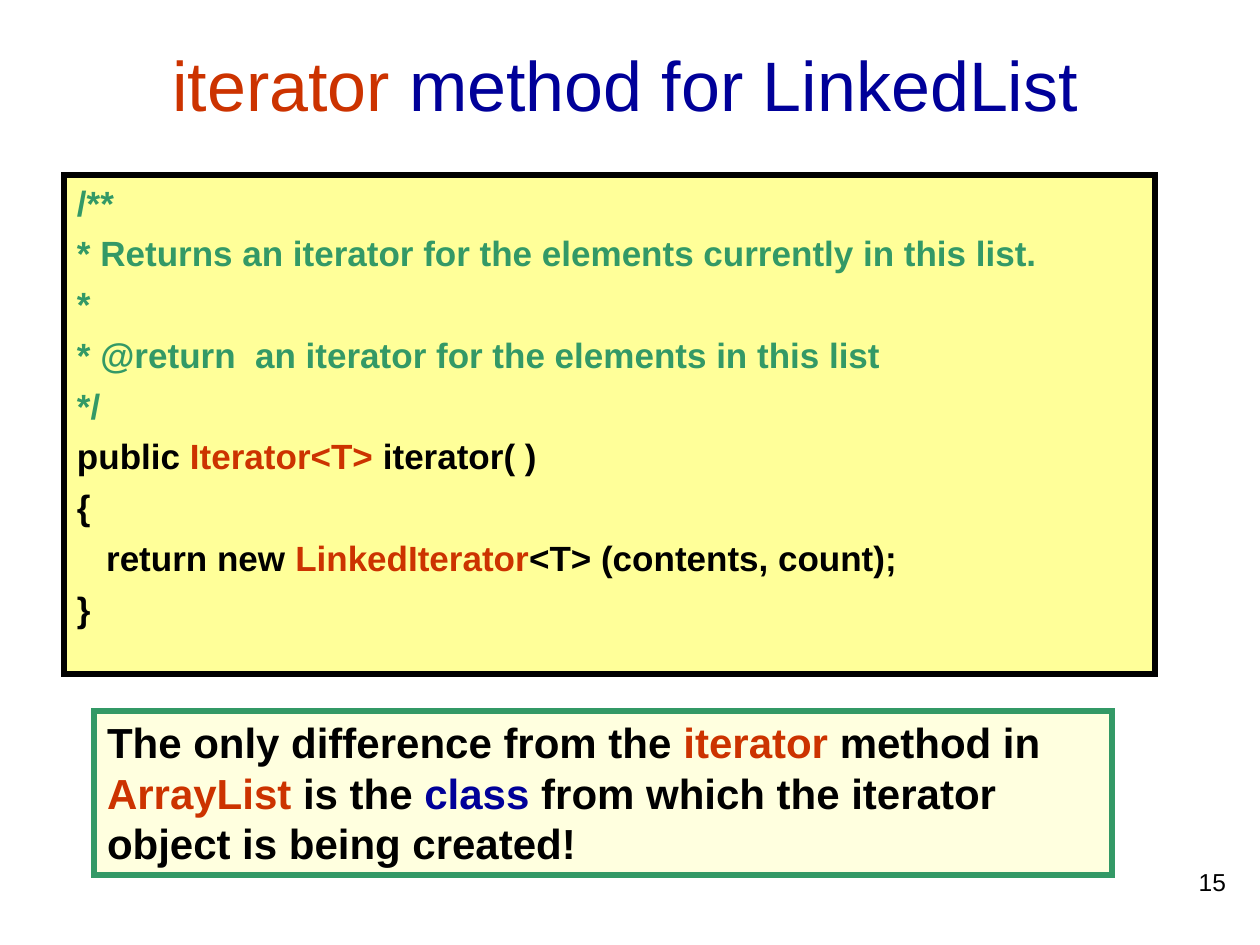
import lxml.etree
import pptx
import pptx.util
import pptx.dml.color
import pptx.enum.shapes
import pptx.enum.text
import pptx.oxml.ns

PX = 914400 // 126
RED, GREEN, NAVY, BLACK = "CC3300", "339966", "000099", "000000"
PP = pptx.enum.text.PP_ALIGN

COMMENT = [
    "/**",
    "* Returns an iterator for the elements currently in this list.",
    "*",
    "* @return  an iterator for the elements in this list",
    "*/",
]
METHOD = [
    [("public ", BLACK), ("Iterator<T>", RED), (" iterator( )", BLACK)],
    [("{", BLACK)],
    [("   return new ", BLACK), ("LinkedIterator", RED), ("<T> (contents, count);", BLACK)],
    [("}", BLACK)],
]
NOTE = [
    ("The only difference from the ", BLACK), ("iterator", RED),
    (" method in ", BLACK), ("ArrayList", RED), (" is the ", BLACK),
    ("class", NAVY), (" from which the iterator object is being created!", BLACK),
]


def px(n):
    """Turn pixels into EMU."""
    return pptx.util.Emu(n * PX)


def rgb(h):
    """Turn a hex string into a colour."""
    return pptx.dml.color.RGBColor.from_string(h)


def write(sp, lines, size, bold=False, align=PP.LEFT, before=0):
    """Fill a shape with lines, each a list of (text, colour) runs."""
    tf = sp.text_frame
    tf.word_wrap = True
    tf.auto_size = pptx.enum.text.MSO_AUTO_SIZE.NONE
    tf.vertical_anchor = pptx.enum.text.MSO_ANCHOR.TOP
    tf.margin_left = tf.margin_right = px(13)
    tf.margin_top = tf.margin_bottom = px(6)
    for i, runs in enumerate(lines):
        p = tf.add_paragraph() if i else tf.paragraphs[0]
        p.alignment = align
        p.space_before = pptx.util.Pt(before if i else 0)
        for text, color in runs:
            r = p.add_run()
            r.text = text
            r.font.name = "Arial"
            r.font.size = pptx.util.Pt(size)
            r.font.bold = bold
            r.font.color.rgb = rgb(color)


def panel(s, box, fill, line):
    """Add a filled rectangle with a square-cornered 3 pt border."""
    sp = s.shapes.add_shape(pptx.enum.shapes.MSO_SHAPE.RECTANGLE, *map(px, box))
    sp.shadow.inherit = False
    sp.fill.solid()
    sp.fill.fore_color.rgb = rgb(fill)
    sp.line.color.rgb = rgb(line)
    sp.line.width = pptx.util.Pt(3)
    ln = sp.element.spPr.find(pptx.oxml.ns.qn("a:ln"))
    lxml.etree.SubElement(ln, pptx.oxml.ns.qn("a:miter"), lim="800000")
    return sp


def title(s, box):
    """Place the slide title."""
    sp = s.shapes.title
    sp.left, sp.top, sp.width, sp.height = map(px, box)
    write(sp, [[("iterator", RED), (" method for LinkedList", NAVY)]], 40, align=PP.CENTER)


def code(s, box):
    """Place the code listing."""
    lines = [[(text, GREEN)] for text in COMMENT] + METHOD
    write(panel(s, box, "FFFF99", BLACK), lines, 20, bold=True, before=5)


def note(s, box):
    """Place the remark below the code."""
    write(panel(s, box, "FFFFDF", GREEN), [NOTE], 24, bold=True)


def page_number(s, box):
    """Place the page number."""
    write(s.shapes.add_textbox(*map(px, box)), [[("15", BLACK)]], 14, align=PP.RIGHT)


def main():
    """Build and save the slide."""
    prs = pptx.Presentation()
    prs.slide_width, prs.slide_height = pptx.util.Inches(10), pptx.util.Inches(7.5)
    s = prs.slides.add_slide(prs.slide_layouts[5])
    title(s, (124, 35, 1002, 97))
    code(s, (64, 175, 1091, 499))
    note(s, (94, 711, 1018, 164))
    page_number(s, (977, 861, 262, 63))
    prs.save("out.pptx")


if __name__ == "__main__":
    main()
